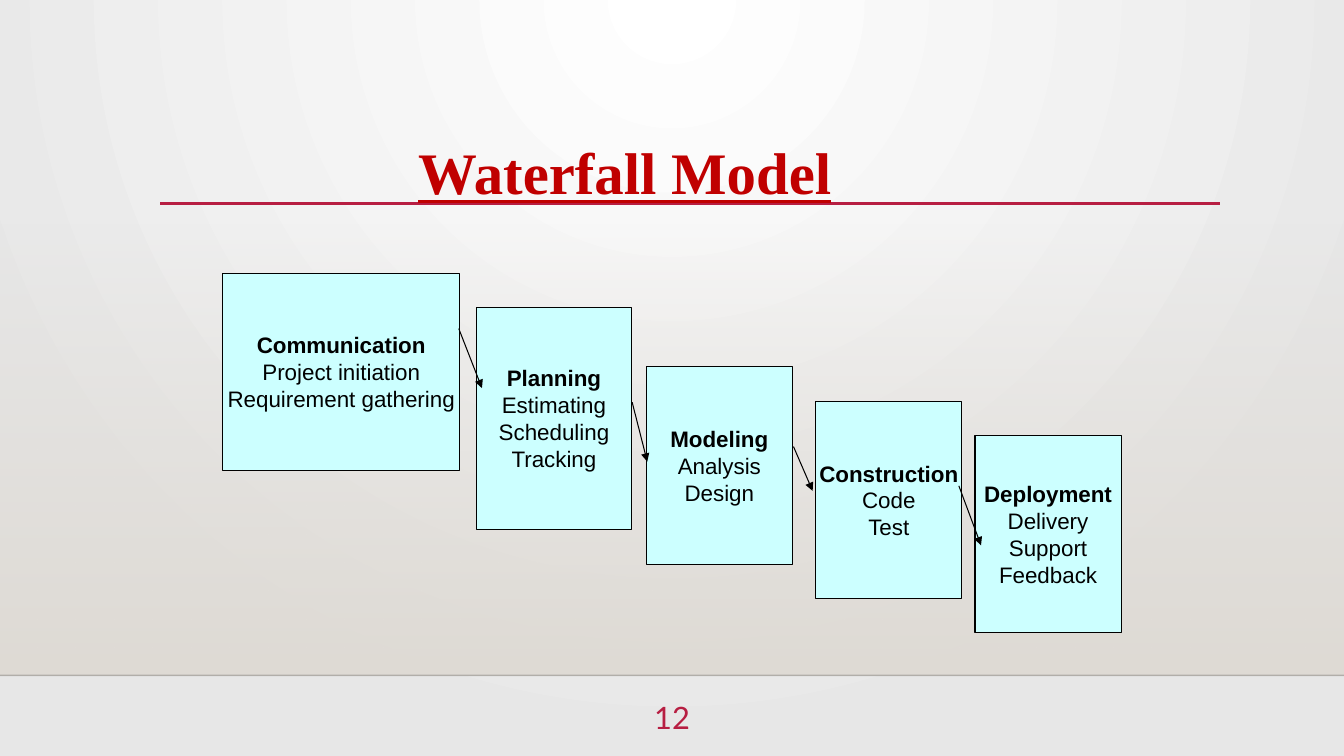
from lxml.etree import SubElement
from pptx import Presentation
from pptx.dml.color import RGBColor
from pptx.enum.shapes import MSO_CONNECTOR, MSO_SHAPE
from pptx.enum.text import MSO_ANCHOR, PP_ALIGN
from pptx.oxml.ns import qn
from pptx.util import Inches, Pt

COLORS = {
    "white": "FFFFFF", "gray": "E7E7E7", "sand": "DFDBD5",
    "crimson": "B71E42", "title": "C00000", "phase": "CCFFFF",
    "black": "000000", "edge": "000001",
}

# Each phase: left, top, width, height, name, activities
PHASES = [
    (2.21, 2.71, 2.35, 1.96, "Communication", ["Project initiation", "Requirement gathering"]),
    (4.73, 3.05, 1.53, 2.2, "Planning", ["Estimating", "Scheduling", "Tracking"]),
    (6.41, 3.64, 1.45, 1.96, "Modeling", ["Analysis", "Design"]),
    (8.09, 3.98, 1.45, 1.96, "Construction", ["Code", "Test"]),
    (9.67, 4.32, 1.45, 1.96, "Deployment", ["Delivery", "Support", "Feedback"]),
]

# Each arrow: start x, start y, end x, end y
ARROWS = [
    (4.55, 3.26, 4.78, 3.85),
    (6.27, 3.99, 6.42, 4.58),
    (7.87, 4.43, 8.06, 4.87),
    (9.51, 4.82, 9.73, 5.41),
]


def color(name):
    return RGBColor.from_string(COLORS[name])


def set_gradient(fill, first, last):
    fill.gradient()
    for stop, name in zip(fill.gradient_stops, (first, last)):
        stop.color.rgb = color(name)


def set_alpha(element, percent):
    """Make the first solid color inside the element partly transparent."""
    value = next(element.iter(qn("a:srgbClr")))
    SubElement(value, qn("a:alpha"), val=str(percent * 1000))


def add_span(para, text, size, font, name, bold=False, underline=False):
    span = para.add_run()
    span.text = text
    span.font.size = Pt(size)
    span.font.name = font
    span.font.color.rgb = color(name)
    span.font.bold = bold
    span.font.underline = underline


def add_line(page, points, name, width, arrow=False):
    line = page.shapes.add_connector(MSO_CONNECTOR.STRAIGHT, *map(Inches, points))
    line.line.color.rgb = color(name)
    line.line.width = Pt(width)
    if arrow:
        SubElement(line.line._get_or_add_ln(), qn("a:tailEnd"), type="triangle")
    SubElement(line._element.spPr, qn("a:effectLst"))
    return line


def add_background(page, width, height):
    # Glow from the top centre
    set_gradient(page.background.fill, "white", "gray")
    gradient = next(page.element.iter(qn("a:gradFill")))
    gradient.remove(gradient.find(qn("a:lin")))
    glow = SubElement(gradient, qn("a:path"), path="circle")
    SubElement(glow, qn("a:fillToRect"), l="43000", t="0", r="43000", b="100000")

    # Sand tint that fades in towards the floor line
    floor = height - 0.8
    tint = page.shapes.add_shape(
        MSO_SHAPE.RECTANGLE, 0, Inches(2.21), Inches(width), Inches(floor - 2.21))
    tint.shadow.inherit = False
    set_gradient(tint.fill, "sand", "sand")
    tint.fill.gradient_angle = 270
    set_alpha(tint._element.spPr, 0)
    tint.line.fill.background()

    edge = add_line(page, (0, floor, width, floor), "edge", 1)
    set_alpha(edge._element.spPr, 20)


def add_heading(page, left, top, width, height):
    add_line(page, (1.59, 2.02, 12.1, 2.02), "crimson", 2.5)
    box = page.shapes.add_textbox(*map(Inches, (left, top, width, height)))
    box.text_frame.word_wrap = False
    add_span(box.text_frame.paragraphs[0], "Waterfall Model", 42,
             "Times New Roman", "title", bold=True, underline=True)


def add_page_number(page, left, top, width, height):
    box = page.shapes.add_textbox(*map(Inches, (left, top, width, height)))
    box.text_frame.word_wrap = True
    para = box.text_frame.paragraphs[0]
    para.alignment = PP_ALIGN.CENTER
    add_span(para, "12", 22, "Lato", "crimson")


def add_phase(page, left, top, width, height, name, activities):
    box = page.shapes.add_shape(
        MSO_SHAPE.RECTANGLE, *map(Inches, (left, top, width, height)))
    box.shadow.inherit = False
    box.fill.solid()
    box.fill.fore_color.rgb = color("phase")
    box.line.color.rgb = color("black")
    box.line.width = Pt(0.75)
    frame = box.text_frame
    frame.word_wrap = False
    frame.vertical_anchor = MSO_ANCHOR.MIDDLE
    for index, text in enumerate([name, *activities]):
        para = frame.add_paragraph() if index else frame.paragraphs[0]
        para.alignment = PP_ALIGN.CENTER
        add_span(para, text, 16, "Arial", "black", bold=index == 0)


def main():
    deck = Presentation()
    deck.slide_width, deck.slide_height = Inches(13.33), Inches(7.5)
    page = deck.slides.add_slide(deck.slide_layouts[6])

    add_background(page, 13.33, 7.5)
    add_page_number(page, 6.22, 6.88, 0.89, 0.55)
    add_heading(page, 4.05, 1.3, 4.34, 0.81)

    # Waterfall of phases and the arrows between them
    for phase in PHASES:
        add_phase(page, *phase)
    for arrow in ARROWS:
        add_line(page, arrow, "black", 0.75, arrow=True)

    deck.save("out.pptx")


if __name__ == "__main__":
    main()
